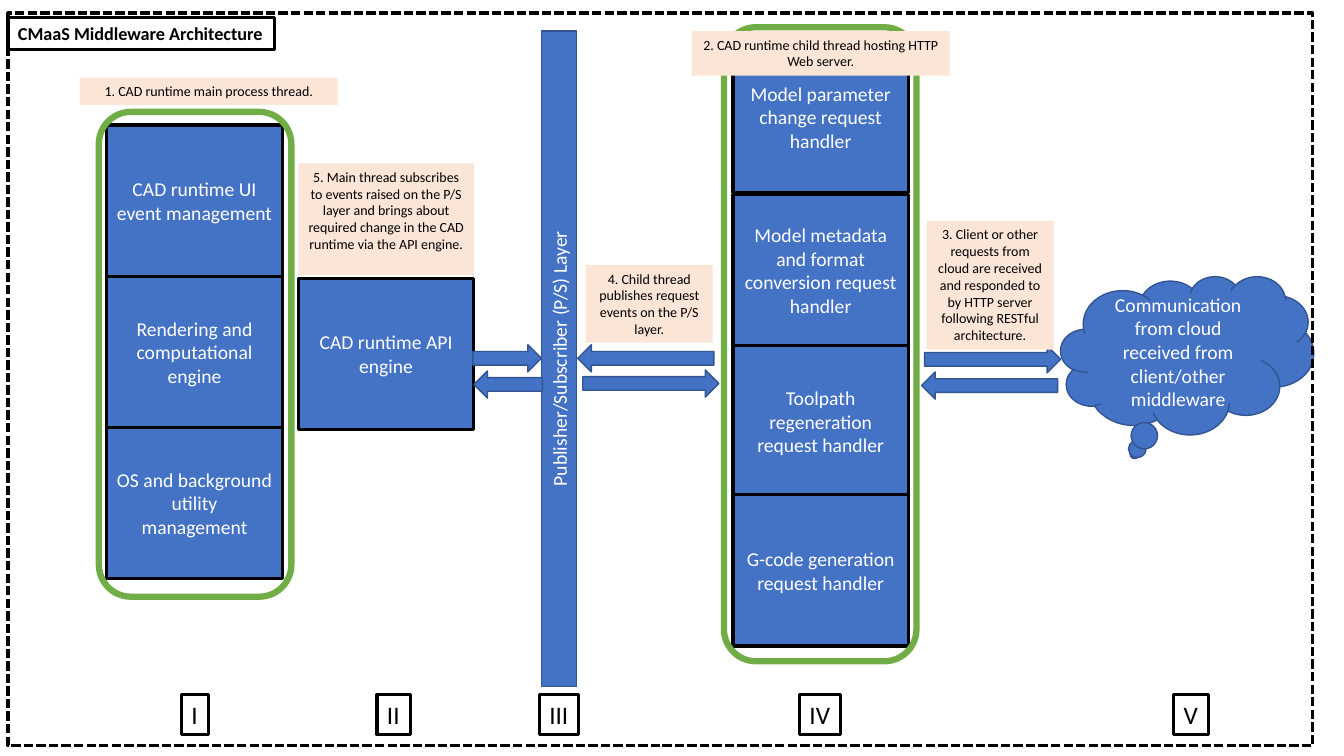
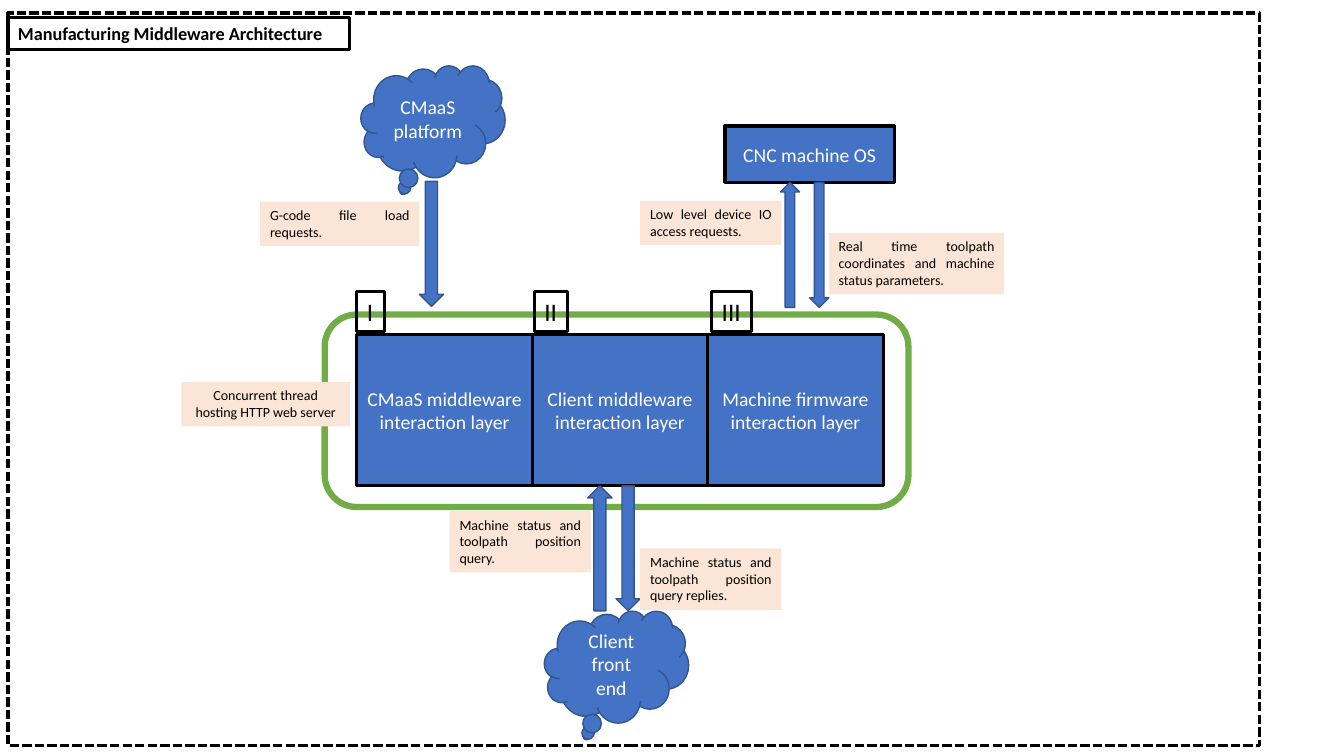
from pptx import Presentation
from pptx import util as u
from pptx.dml.color import RGBColor
from pptx.enum import dml, shapes, text

COLOURS = {
    "blue": "4472C4",
    "edge": "325491",
    "green": "70AD47",
    "peach": "FBE5D6",
    "black": "000000",
    "white": "FFFFFF",
}
FONT = "Calibri"
KIND = shapes.MSO_SHAPE
ALIGN = text.PP_ALIGN
ANCHOR = text.MSO_ANCHOR
ARROWS = {
    "left": KIND.LEFT_ARROW,
    "right": KIND.RIGHT_ARROW,
    "up": KIND.UP_ARROW,
    "down": KIND.DOWN_ARROW,
}
BOX_WIDTH, BOX_HEIGHT = 1.74, 1.5


def colour(name):
    return RGBColor.from_string(COLOURS[name])


def write(shape, words, size=14, ink="white", bold=False, align=ALIGN.CENTER,
          anchor=ANCHOR.MIDDLE, wrap=True, grow=False):
    """Put words in a shape, one paragraph per line."""
    frame = shape.text_frame
    frame.word_wrap = wrap
    frame.vertical_anchor = anchor
    if grow:
        frame.auto_size = text.MSO_AUTO_SIZE.SHAPE_TO_FIT_TEXT
    for index, line in enumerate(words.split("\n")):
        para = frame.add_paragraph() if index else frame.paragraphs[0]
        para.alignment = align
        span = para.add_run()
        span.text = line
        span.font.name = FONT
        span.font.size = u.Pt(size)
        span.font.bold = bold
        span.font.color.rgb = colour(ink)


class Diagram:
    """Holds the shared style and the page being drawn."""

    def __init__(self):
        self.deck = Presentation()
        self.deck.slide_width = u.Inches(13.33)
        self.deck.slide_height = u.Inches(7.5)
        self.page = None

    def new_page(self):
        self.page = self.deck.slides.add_slide(self.deck.slide_layouts[6])

    def shape(self, kind, place, fill=None, line=None, weight=1):
        item = self.page.shapes.add_shape(kind, *map(u.Inches, place))
        item.shadow.inherit = False
        if fill:
            item.fill.solid()
            item.fill.fore_color.rgb = colour(fill)
        else:
            item.fill.background()
        if line:
            item.line.color.rgb = colour(line)
            item.line.width = u.Pt(weight)
        else:
            item.line.fill.background()
        return item

    def box(self, words, left, top, width=BOX_WIDTH, height=BOX_HEIGHT):
        item = self.shape(KIND.RECTANGLE, (left, top, width, height),
                          "blue", "black", 2.25)
        write(item, words)

    def thread(self, *place):
        self.shape(KIND.FLOWCHART_ALTERNATE_PROCESS, place,
                   line="green", weight=4.5)

    def label(self, words, *place, align=ALIGN.CENTER):
        item = self.shape(KIND.RECTANGLE, place, "peach")
        write(item, words, size=10, ink="black", align=align,
              anchor=ANCHOR.TOP, grow=True)

    def arrow(self, direction, *place):
        self.shape(ARROWS[direction], place, "blue", "edge")

    def cloud(self, words, *place):
        write(self.shape(KIND.CLOUD_CALLOUT, place, "blue", "edge"), words)

    def layer(self, words, *place):
        item = self.shape(KIND.FLOWCHART_PROCESS, place, "blue", "edge")
        write(item, words)
        item.element.txBody.bodyPr.set("vert", "vert270")

    def numeral(self, words, left, top, width):
        item = self.shape(KIND.RECTANGLE, (left, top, width, 0.4),
                          line="black", weight=2.25)
        write(item, words, size=18, ink="black", align=ALIGN.LEFT,
              anchor=ANCHOR.TOP, wrap=False, grow=True)

    def frame(self, title, frame_width, title_width):
        border = self.shape(KIND.RECTANGLE, (0.08, 0.13, frame_width, 7.27),
                            line="black", weight=2.25)
        border.line.dash_style = dml.MSO_LINE.SQUARE_DOT
        item = self.shape(KIND.RECTANGLE, (0.08, 0.17, title_width, 0.32),
                          line="black", weight=2.25)
        write(item, title, size=13, ink="black", bold=True, align=ALIGN.LEFT,
              anchor=ANCHOR.TOP, grow=True)


def draw_cmaas(diagram):
    diagram.new_page()

    # Main process thread
    main_parts = ("CAD runtime UI event management",
                  "Rendering and computational engine",
                  "OS and background utility management")
    for row, words in enumerate(main_parts):
        diagram.box(words, 1.06, 1.24 + row * BOX_HEIGHT)
    diagram.thread(0.98, 1.11, 1.91, 4.81)

    # Child thread with its request handlers
    handlers = (
        ("Model parameter change request handler", 0.41),
        ("Toolpath regeneration request handler", 3.43),
        ("Model metadata and format conversion request handler", 1.93),
        ("G-code generation request handler", 4.91),
    )
    for words, top in handlers:
        diagram.box(words, 7.27, top)
    diagram.thread(7.18, 0.27, 1.91, 6.29)

    # API engine, publisher/subscriber layer and cloud
    diagram.layer("Publisher/Subscriber (P/S) Layer", 5.37, 0.31, 0.35, 6.5)
    diagram.box("CAD runtime API engine", 2.96, 2.76)
    diagram.cloud("Communication from cloud received from client/other middleware",
                  10.52, 2.74, 2.51, 1.57)

    # Message arrows
    for direction, left, top, width in (
            ("left", 5.73, 3.42, 1.35), ("right", 5.78, 3.67, 1.35),
            ("right", 4.69, 3.42, 0.68), ("left", 4.7, 3.68, 0.68),
            ("left", 9.14, 3.69, 1.35), ("right", 9.17, 3.43, 1.35)):
        diagram.arrow(direction, left, top, width, 0.27)

    # Numbered steps
    diagram.label("1. CAD runtime main process thread.", 0.79, 0.77, 2.56, 0.27)
    diagram.label("2. CAD runtime child thread hosting HTTP Web server.",
                  6.86, 0.31, 2.56, 0.44)
    diagram.label("3. Client or other requests from cloud are received and "
                  "responded to by HTTP server following RESTful\narchitecture.",
                  9.19, 2.19, 1.26, 1.28)
    diagram.label("4. Child thread publishes request events on the P/S layer.",
                  5.81, 2.63, 1.26, 0.77)
    diagram.label("5. Main thread subscribes to events raised on the P/S layer and "
                  "brings about required change in the CAD runtime via the API engine.",
                  2.96, 1.62, 1.74, 1.11)

    # Frame and column numerals
    diagram.frame("CMaaS Middleware Architecture", 12.94, 2.64)
    for words, left, width in (("I", 1.8, 0.27), ("II", 3.74, 0.33),
                               ("III", 5.35, 0.39), ("IV", 7.93, 0.41),
                               ("V", 11.64, 0.35)):
        diagram.numeral(words, left, 6.89, width)


def draw_manufacturing(diagram):
    diagram.new_page()

    # Concurrent thread with its interaction layers
    diagram.thread(3.22, 3.12, 5.79, 1.91)
    layers = (("CMaaS middleware interaction layer", "I", 0.27),
              ("Client middleware interaction layer", "II", 0.33),
              ("Machine firmware interaction layer", "III", 0.39))
    for column, (words, number, width) in enumerate(layers):
        diagram.box(words, 3.54 + column * BOX_WIDTH, 3.32)
        diagram.numeral(number, 3.54 + column * 1.76, 2.89, width)

    # Outside systems
    diagram.cloud("CMaaS platform", 3.58, 0.65, 1.43, 1.11)
    diagram.cloud("Client front end", 5.4, 6.06, 1.43, 1.11)
    diagram.box("CNC machine OS", 7.19, 1.25, 1.68, 0.56)

    # Message arrows
    for direction, left, top, width in (
            ("down", 4.16, 1.8, 0.24),
            ("down", 6.11, 4.82, 0.24), ("up", 5.83, 4.82, 0.24),
            ("down", 8.03, 1.81, 0.19), ("up", 7.74, 1.81, 0.19)):
        diagram.arrow(direction, left, top, width, 1.24)

    # Message labels
    diagram.label("Concurrent thread hosting HTTP web server", 1.8, 3.79, 1.67, 0.44)
    for words, *place in (
            ("G-code file load requests.", 2.58, 2, 1.58, 0.44),
            ("Low level device IO access requests.", 6.35, 1.99, 1.4, 0.44),
            ("Real time toolpath coordinates and machine status parameters.",
             8.22, 2.31, 1.74, 0.61),
            ("Machine status and toolpath position query replies.",
             6.35, 5.44, 1.4, 0.61),
            ("Machine status and toolpath position query.",
             4.46, 5.07, 1.4, 0.61)):
        diagram.label(words, *place, align=ALIGN.JUSTIFY)

    diagram.frame("Manufacturing Middleware Architecture", 12.41, 3.39)


def main():
    diagram = Diagram()
    draw_cmaas(diagram)
    draw_manufacturing(diagram)
    diagram.deck.save("out.pptx")


if __name__ == "__main__":
    main()
